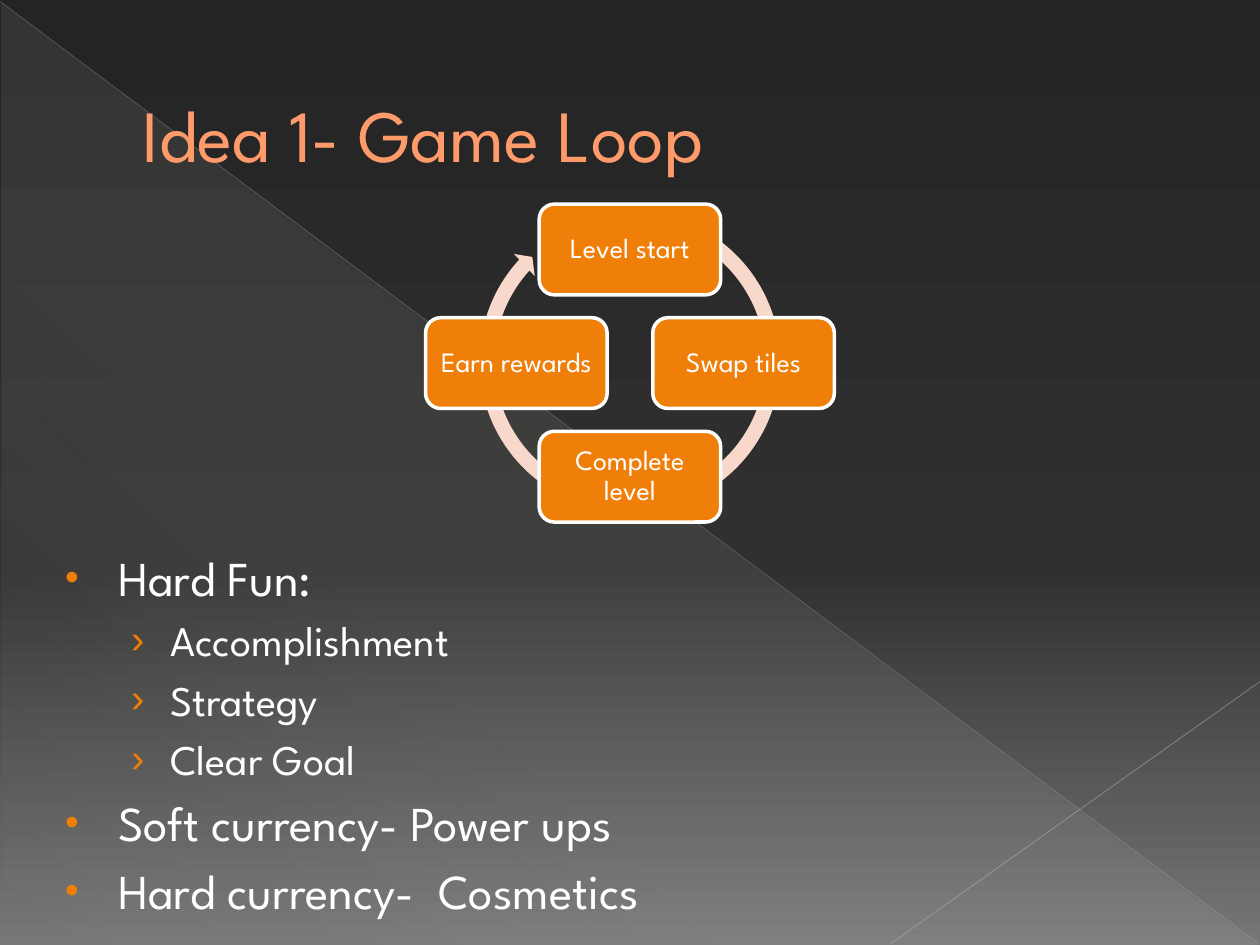
from lxml import etree
from pptx import Presentation
from pptx.dml.color import RGBColor
from pptx.enum import shapes, text
from pptx.oxml.ns import qn
from pptx.util import Cm, Pt

FONT = "League Spartan"
COLORS = {
    "top": "242424", "middle": "303030", "bottom": "767676",
    "veil": "E3DED1", "diagonal": "B6B6B6", "corner": "BFBFBF",
    "title": "FF9B6A", "text": "FFFFFF", "accent": "F07F09", "loop": "F9D8CC",
}
STEPS = [("Level start", 0, -1), ("Swap tiles", 1, 0),
         ("Complete level", 0, 1), ("Earn rewards", -1, 0)]
BULLETS = [("Hard Fun:", 0), ("Accomplishment", 1), ("Strategy", 1),
           ("Clear Goal", 1), ("Soft currency- Power ups", 0),
           ("Hard currency-  Cosmetics", 0)]
LEVELS = [
    {"size": 27.8, "left": 1.24, "hang": -1.07, "char": "•", "scale": 80},
    {"size": 24.1, "left": 2.29, "hang": -0.79, "char": "›", "scale": 95},
]


def rgb(name):
    return RGBColor.from_string(COLORS[name])


def set_attrs(obj, values):
    for name, value in values.items():
        setattr(obj, name, value)


def add_child(parent, tag, **attrs):
    child = etree.SubElement(parent, qn(tag))
    for name, value in attrs.items():
        child.set(name, str(value))
    return child


def add_color(parent, name, opacity=100):
    color = add_child(parent, "a:srgbClr", val=COLORS[name])
    if opacity < 100:
        add_child(color, "a:alpha", val=opacity * 1000)


def set_gradient(fill, element, stops, angle):
    fill.gradient()
    grad = element.find(".//" + qn("a:gradFill"))
    for child in list(grad):
        grad.remove(child)
    stop_list = add_child(grad, "a:gsLst")
    for position, name, opacity in stops:
        add_color(add_child(stop_list, "a:gs", pos=position * 1000), name, opacity)
    add_child(grad, "a:lin", ang=angle * 60000, scaled=0)


def place(sp, left, top, width, height):
    set_attrs(sp, {"left": Cm(left), "top": Cm(top),
                   "width": Cm(width), "height": Cm(height)})


def add_run(p, words, size, color):
    r = p.add_run()
    r.text = words
    set_attrs(r.font, {"name": FONT, "size": Pt(size)})
    r.font.color.rgb = rgb(color)


def add_plain_shape(parent, kind, left, top, width, height):
    sp = parent.shapes.add_shape(kind, Cm(left), Cm(top), Cm(width), Cm(height))
    sp.shadow.inherit = False
    sp.line.fill.background()
    return sp


def add_thin_line(s, start, end, color, width, opacity):
    line = s.shapes.add_connector(shapes.MSO_CONNECTOR.STRAIGHT,
                                  *(Cm(v) for v in start + end))
    line.line.width = Pt(width)
    line.line.color.rgb = rgb(color)
    props = line._element.spPr
    add_child(props.find(".//" + qn("a:srgbClr")), "a:alpha", val=opacity * 1000)
    add_child(props, "a:effectLst")


def add_backdrop(s):
    set_gradient(s.background.fill, s._element,
                 [(0, "top", 100), (60, "middle", 100), (100, "bottom", 100)], 90)
    veil = add_plain_shape(s, shapes.MSO_SHAPE.RIGHT_TRIANGLE, 0.03, 0.05, 25.35, 19)
    set_gradient(veil.fill, veil._element,
                 [(0, "veil", 10), (70, "veil", 8), (100, "veil", 1)], 133)
    add_thin_line(s, (0, 0.03), (25.37, 19.02), "diagonal", 0.39, 35)
    add_thin_line(s, (25.4, 13.74), (17.96, 19.02), "corner", 0.47, 45)


def bring_to_front(s, sp):
    s.shapes._spTree.append(sp._element)


def fill_title(s):
    title = s.shapes.title
    bring_to_front(s, title)
    place(title, 1.27, 0.74, 22.86, 3.89)
    tf = title.text_frame
    set_attrs(tf, {"vertical_anchor": text.MSO_ANCHOR.MIDDLE,
                   "auto_size": text.MSO_AUTO_SIZE.NONE})
    p = tf.paragraphs[0]
    p.alignment = text.PP_ALIGN.LEFT
    p._p.get_or_add_pPr().set("marL", str(Cm(1.35)))
    add_run(p, "Idea 1- Game Loop", 42, "title")


def add_step(group, words, center_x, center_y):
    width, height = 3.66, 1.83
    sp = add_plain_shape(group, shapes.MSO_SHAPE.ROUNDED_RECTANGLE,
                         center_x - width / 2, center_y - height / 2, width, height)
    sp.fill.solid()
    sp.fill.fore_color.rgb = rgb("accent")
    sp.line.color.rgb = rgb("text")
    sp.line.width = Pt(2)
    tf = sp.text_frame
    margins = ("margin_left", "margin_top", "margin_right", "margin_bottom")
    set_attrs(tf, dict.fromkeys(margins, Cm(0.1)))
    set_attrs(tf, {"word_wrap": True, "vertical_anchor": text.MSO_ANCHOR.MIDDLE})
    p = tf.paragraphs[0]
    set_attrs(p, {"alignment": text.PP_ALIGN.CENTER, "line_spacing": 0.9})
    add_run(p, words, 16, "text")


def add_game_loop(s):
    center_x, center_y, radius, size = 12.7, 7.32, 2.29, 6.38
    group = s.shapes.add_group_shape()
    arrow = add_plain_shape(group, shapes.MSO_SHAPE.CIRCULAR_ARROW,
                            center_x - size / 2, center_y - size / 2 - 0.03, size, size)
    for i, value in enumerate((0.047, 2.729, 133.464, 176.902, 0.048)):
        arrow.adjustments[i] = value
    arrow.fill.solid()
    arrow.fill.fore_color.rgb = rgb("loop")
    for words, dx, dy in STEPS:
        add_step(group, words, center_x + dx * radius, center_y + dy * radius)


def fill_bullets(s):
    body = s.placeholders[1]
    bring_to_front(s, body)
    place(body, 0.89, 10.92, 23.24, 7.01)
    tf = body.text_frame
    set_attrs(tf, {"auto_size": text.MSO_AUTO_SIZE.NONE,
                   "vertical_anchor": text.MSO_ANCHOR.TOP})
    for i, (words, level) in enumerate(BULLETS):
        p = tf.add_paragraph() if i else tf.paragraphs[0]
        p.level = level
        style = LEVELS[level]
        props = p._p.get_or_add_pPr()
        props.set("marL", str(Cm(style["left"])))
        props.set("indent", str(Cm(style["hang"])))
        add_color(add_child(props, "a:buClr"), "accent")
        add_child(props, "a:buSzPct", val=style["scale"] * 1000)
        add_child(props, "a:buFont", typeface="Arial")
        add_child(props, "a:buChar", char=style["char"])
        add_run(p, words, style["size"], "text")


def main():
    prs = Presentation()
    set_attrs(prs, {"slide_width": Cm(25.4), "slide_height": Cm(19.05)})
    s = prs.slides.add_slide(prs.slide_layouts[1])
    add_backdrop(s)
    fill_title(s)
    add_game_loop(s)
    fill_bullets(s)
    prs.save("out.pptx")


if __name__ == "__main__":
    main()
